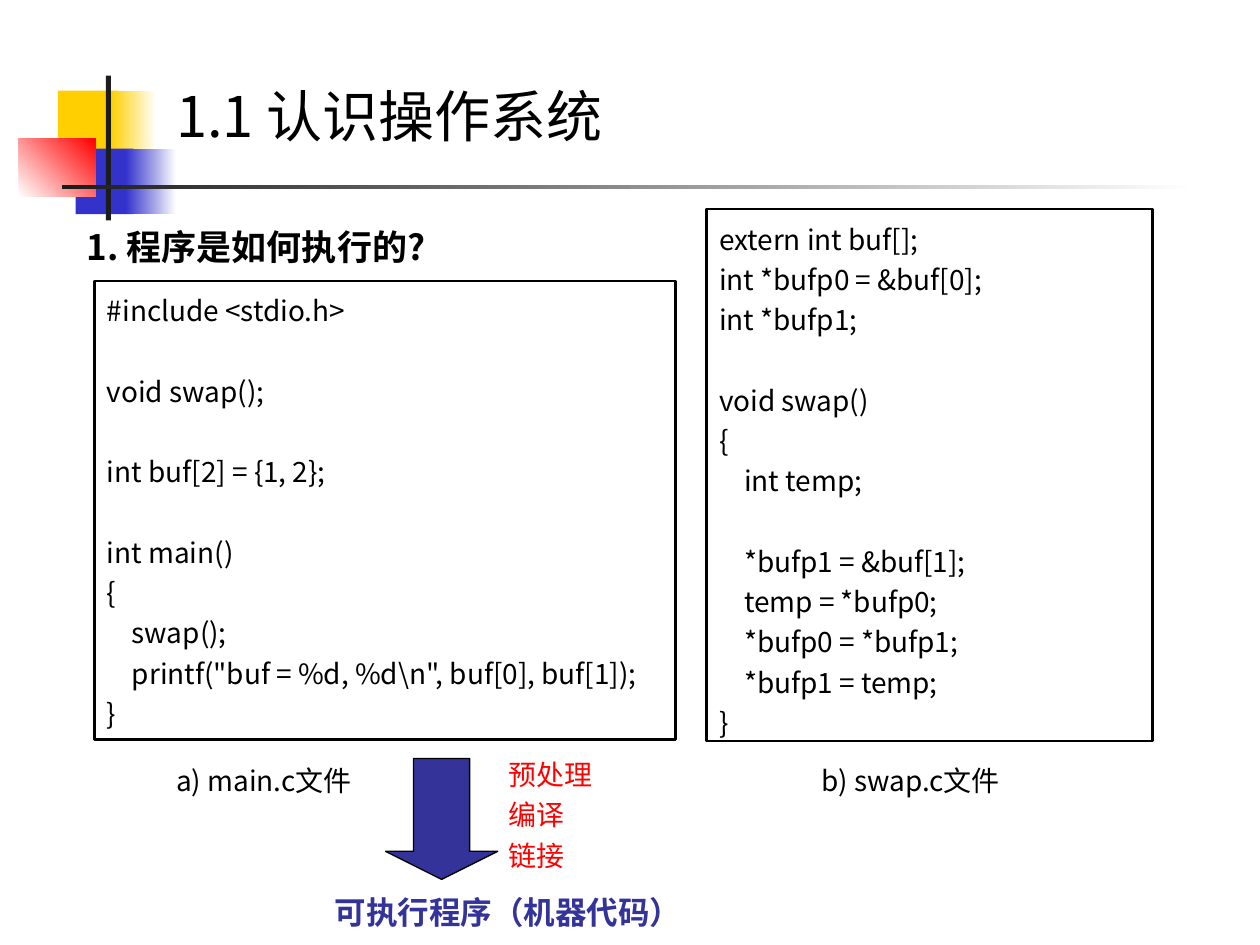
from lxml import etree
from pptx import Presentation
from pptx.dml.color import RGBColor
from pptx.enum.shapes import MSO_SHAPE
from pptx.enum.text import MSO_ANCHOR, MSO_AUTO_SIZE, PP_ALIGN
from pptx.oxml.ns import qn
from pptx.util import Inches, Pt

RECT, DOWN = MSO_SHAPE.RECTANGLE, MSO_SHAPE.DOWN_ARROW
TOP, LEFT = MSO_ANCHOR.TOP, PP_ALIGN.LEFT
GROW, FIXED = MSO_AUTO_SIZE.SHAPE_TO_FIT_TEXT, MSO_AUTO_SIZE.NONE

SANS, TITLE_FONT = "Noto Sans CJK SC", "Noto Sans CJK JP"
BLACK, WHITE, RED, INDIGO = "000000", "FFFFFF", "FF0000", "333399"
YELLOW, BLUE, DARK = "FFCF01", "3333CC", "1C1C1C"
BLANK_LINE = 23

DECOR = [
    ((0.46, 0.72, 0.48, 0.52), (YELLOW,), 0),
    ((0.88, 0.72, 0.36, 0.52), (YELLOW, WHITE), 0),
    ((0.6, 1.18, 0.46, 0.52), (BLUE,), 0),
    ((1, 1.18, 0.4, 0.52), (BLUE, WHITE), 0),
    ((0.15, 1.1, 0.61, 0.46), (WHITE, RED), 45),
    ((0.84, 0.6, 0.04, 1.15), (DARK,), 0),
    ((0.49, 1.47, 9, 0.03), (DARK, WHITE), 0),
]

MAIN_C = r"""#include <stdio.h>

void swap();

int buf[2] = {1, 2};

int main()
{
    swap();
    printf("buf = %d, %d\n", buf[0], buf[1]);
}"""

SWAP_C = """extern int buf[];
int *bufp0 = &buf[0];
int *bufp1;

void swap()
{
    int temp;

    *bufp1 = &buf[1];
    temp = *bufp0;
    *bufp0 = *bufp1;
    *bufp1 = temp;
}"""

CODE = [
    ((0.75, 2.23, 4.61, 3.64), MAIN_C),
    ((5.61, 1.66, 3.54, 4.22), SWAP_C),
]

TEXTS = [
    ((1.3, 0.6, 8.7, 0.64), "1.1 认识操作系统", 1, dict(size=32, name=TITLE_FONT)),
    ((0.59, 1.74, 4.33, 0.44), "1. 程序是如何执行的?", 1, dict(size=20, bold=True)),
    ((3.94, 5.91, 2.64, 1.06), "预处理\n编译\n链接", 1.2, dict(color=RED)),
    ((1.3, 5.88, 2.44, 0.5), "a) main.c文件", 1.5, {}),
    ((6.42, 5.88, 2.44, 0.5), "b) swap.c文件", 1.5, {}),
    ((2.56, 6.98, 2.95, 0.46), "可执行程序（机器代码）", 1.2,
     dict(size=18, bold=True, color=INDIGO)),
]

ARROW = (3.06, 6.02, 0.89, 0.96)


def rgb(color):
    return RGBColor.from_string(color)


def add_shape(slide, kind, box, colors=(), angle=0, line=0):
    sp = slide.shapes.add_shape(kind, *map(Inches, box))
    sp.shadow.inherit = False
    if len(colors) == 2:
        sp.fill.gradient()
        sp.fill.gradient_angle = angle
        for stop, color in zip(sp.fill.gradient_stops, colors):
            stop.color.rgb = rgb(color)
    elif colors:
        sp.fill.solid()
        sp.fill.fore_color.rgb = rgb(colors[0])
    else:
        sp.fill.background()
    if line:
        sp.line.color.rgb = rgb(BLACK)
        sp.line.width = Pt(line)
    else:
        sp.line.fill.background()
    return sp


def write(sp, text, spacing, auto_size, size=16, color=BLACK, name=SANS, bold=False):
    tf = sp.text_frame
    frame = dict(word_wrap=True, auto_size=auto_size, vertical_anchor=TOP)
    for key, value in frame.items():
        setattr(tf, key, value)
    p, gap = None, 0
    for line in text.split("\n"):
        if not line:
            gap += BLANK_LINE
            continue
        p = tf.add_paragraph() if p is not None else tf.paragraphs[0]
        p.alignment, p.line_spacing = LEFT, spacing
        if gap:
            p.space_before = Pt(gap)
        gap = 0
        r = p.add_run()
        r.text = line
        for key, value in dict(size=Pt(size), bold=bold, name=name).items():
            setattr(r.font, key, value)
        r.font.color.rgb = rgb(color)
        rPr = r._r.get_or_add_rPr()
        etree.SubElement(rPr, qn("a:ea")).set("typeface", name)


prs = Presentation()
prs.slide_width, prs.slide_height = Inches(10), Inches(7.5)
s = prs.slides.add_slide(prs.slide_layouts[6])

for box, colors, angle in DECOR:
    add_shape(s, RECT, box, colors, angle)
for box, code in CODE:
    write(add_shape(s, RECT, box, line=1.5), code, 1.2, FIXED)
for box, text, spacing, style in TEXTS:
    write(s.shapes.add_textbox(*map(Inches, box)), text, spacing, GROW, **style)

arrow = add_shape(s, DOWN, ARROW, (INDIGO,), line=0.75)
arrow.adjustments[0], arrow.adjustments[1] = 0.5, 0.25

prs.save("out.pptx")
